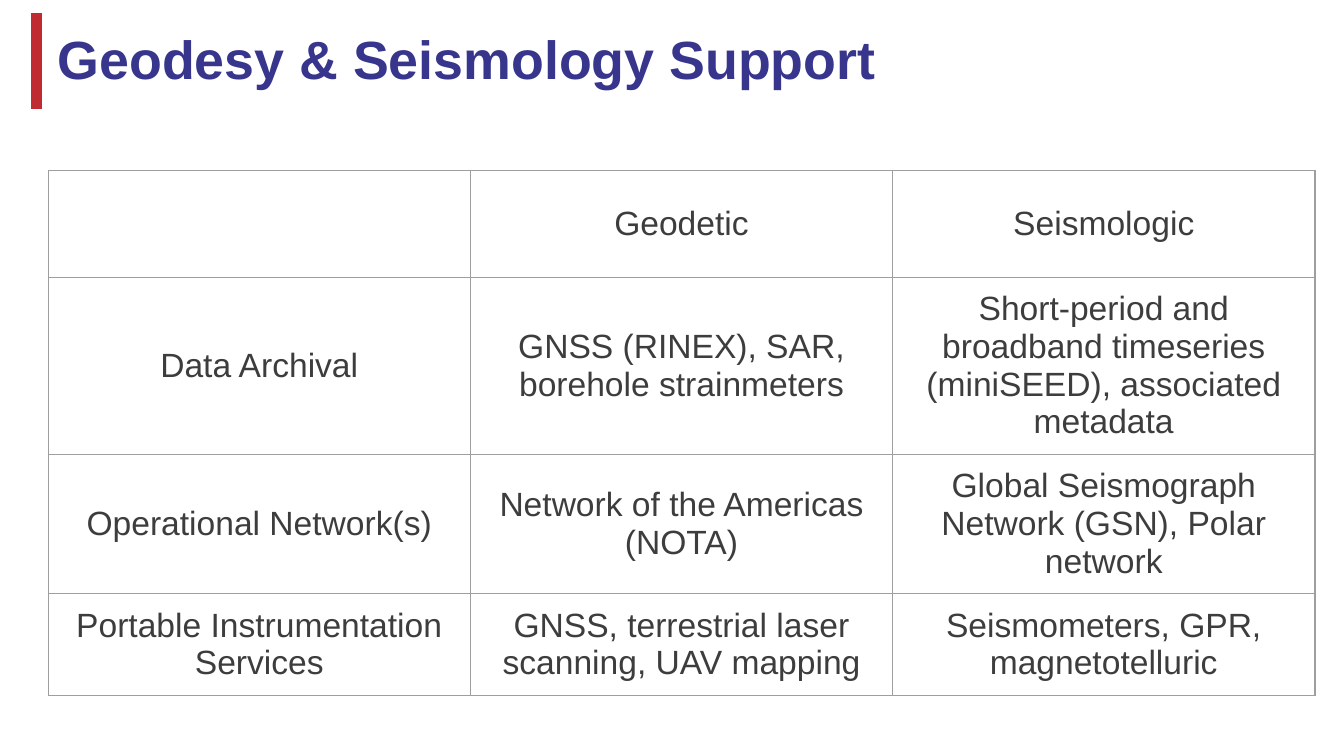
"""Build the Geodesy & Seismology Support slide with its table of services."""
import lxml.etree
import pptx
import pptx.dml.color
import pptx.enum.shapes
import pptx.enum.text
import pptx.oxml
import pptx.oxml.ns
import pptx.util

Cm = pptx.util.Cm
Pt = pptx.util.Pt
qn = pptx.oxml.ns.qn
COLORS = {"accent": "C02A31", "title": "37358C", "text": "3D3D3D", "border": "9E9E9E"}
SERVICES = [
    ["", "Geodetic", "Seismologic"],
    ["Data Archival", "GNSS (RINEX), SAR, borehole strainmeters",
     "Short-period and broadband timeseries (miniSEED), associated metadata"],
    ["Operational Network(s)", "Network of the Americas (NOTA)",
     "Global Seismograph Network (GSN), Polar network"],
    ["Portable Instrumentation Services", "GNSS, terrestrial laser scanning, UAV mapping",
     "Seismometers, GPR, magnetotelluric"],
]
ROW_HEIGHTS = [2.01, 2.01, 2.01, 1.9]
COLUMN_WIDTH = 7.98


def style_font(font, size, color, bold=False):
    font.name = "Arial"
    font.size = Pt(size)
    font.bold = bold
    font.color.rgb = pptx.dml.color.RGBColor.from_string(COLORS[color])


def add_borders(cell):
    properties = cell._tc.get_or_add_tcPr()
    for position, side in enumerate(["lnL", "lnR", "lnT", "lnB"]):
        border = lxml.etree.Element(qn(f"a:{side}"), w=str(Pt(0.75)))
        fill = lxml.etree.SubElement(border, qn("a:solidFill"))
        lxml.etree.SubElement(fill, qn("a:srgbClr"), val=COLORS["border"])
        properties.insert(position, border)


deck = pptx.Presentation()
deck.slide_width, deck.slide_height = Cm(25.4), Cm(14.29)
slide = deck.slides.add_slide(deck.slide_layouts[5])

title = slide.shapes.title
title.left, title.top, title.width, title.height = Cm(0.91), Cm(0.28), Cm(16.66), Cm(1.8)
heading = title.text_frame
heading.text = "Geodesy & Seismology Support"
heading.word_wrap = True
heading.auto_size = pptx.enum.text.MSO_AUTO_SIZE.NONE
heading.vertical_anchor = pptx.enum.text.MSO_ANCHOR.MIDDLE
heading.margin_left = heading.margin_right = Cm(0.18)
heading.margin_top = heading.margin_bottom = Cm(0.1)
heading.paragraphs[0].alignment = pptx.enum.text.PP_ALIGN.LEFT
heading.paragraphs[0].line_spacing = 0.9
style_font(heading.paragraphs[0].runs[0].font, 28.8, "title", bold=True)

accent = slide.shapes.add_connector(
    pptx.enum.shapes.MSO_CONNECTOR.STRAIGHT, Cm(0.69), Cm(0.25), Cm(0.69), Cm(2.06))
accent.line.width = Pt(6)
accent.line.color.rgb = pptx.dml.color.RGBColor.from_string(COLORS["accent"])
lxml.etree.SubElement(accent._element.spPr, qn("a:effectLst"))

services = slide.shapes.add_table(
    len(SERVICES), len(SERVICES[0]), Cm(0.91), Cm(3.23),
    Cm(COLUMN_WIDTH * len(SERVICES[0])), Cm(sum(ROW_HEIGHTS))).table
services.first_row = services.horz_banding = False
for column in services.columns:
    column.width = Cm(COLUMN_WIDTH)
for row, height, entries in zip(services.rows, ROW_HEIGHTS, SERVICES):
    row.height = Cm(height)
    for cell, entry in zip(row.cells, entries):
        cell.fill.background()
        add_borders(cell)
        cell.vertical_anchor = pptx.enum.text.MSO_ANCHOR.MIDDLE
        cell.margin_left = cell.margin_right = Cm(0.25)
        cell.margin_top = cell.margin_bottom = Cm(0.25)
        cell.text_frame.text = entry
        paragraph = cell.text_frame.paragraphs[0]
        paragraph.alignment = pptx.enum.text.PP_ALIGN.CENTER
        for run in paragraph.runs:
            style_font(run.font, 18, "text")

deck.save("out.pptx")
